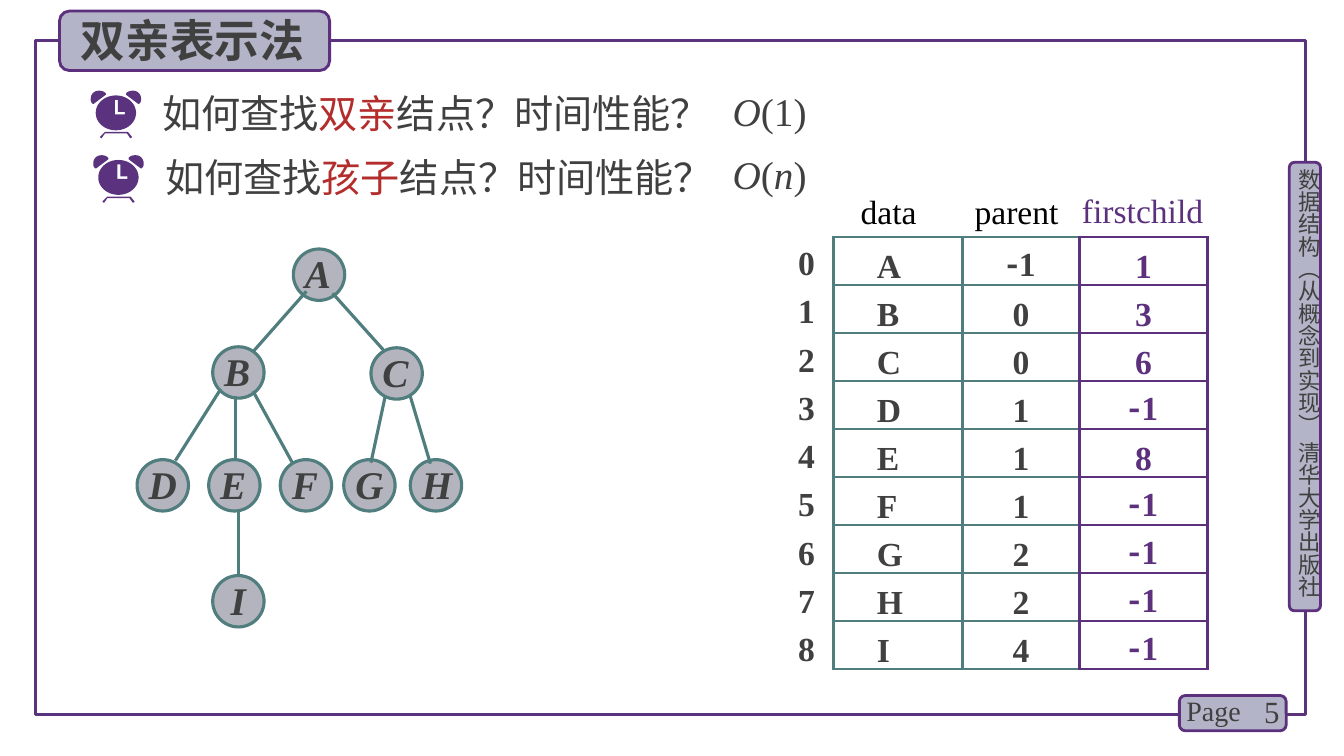
from dataclasses import dataclass
from math import cos, pi, sin
from typing import NamedTuple

from lxml import etree
from pptx import Presentation
from pptx.dml.color import RGBColor
from pptx.enum.shapes import MSO_CONNECTOR, MSO_SHAPE
from pptx.enum.text import MSO_ANCHOR, PP_ALIGN
from pptx.oxml.ns import qn
from pptx.util import Emu, Inches, Pt

TOP, MIDDLE, BOTTOM = MSO_ANCHOR.TOP, MSO_ANCHOR.MIDDLE, MSO_ANCHOR.BOTTOM
LEFT, CENTER, RIGHT = PP_ALIGN.LEFT, PP_ALIGN.CENTER, PP_ALIGN.RIGHT
RECTANGLE, ROUNDED, OVAL = MSO_SHAPE.RECTANGLE, MSO_SHAPE.ROUNDED_RECTANGLE, MSO_SHAPE.OVAL
STRAIGHT = MSO_CONNECTOR.STRAIGHT

INK = RGBColor(0x40, 0x40, 0x40)
BLACK = RGBColor(0, 0, 0)
RED = RGBColor(0xB4, 0x2D, 0x2D)
PURPLE = RGBColor(0x5C, 0x30, 0x7D)
FRAME_PURPLE = RGBColor(0x5A, 0x32, 0x7D)
LILAC = RGBColor(0xB4, 0xB4, 0xC8)
NODE_GRAY = RGBColor(0xB4, 0xB4, 0xBE)
TEAL = RGBColor(0x50, 0x7D, 0x7D)
SERIF, CJK = "Times New Roman", "Noto Sans CJK SC"

CELL = Inches(0.1)
COLUMNS, ROWS = 133.33, 75


class Area(NamedTuple):
    col: float
    row: float
    cols: float
    rows: float


class Point(NamedTuple):
    col: float
    row: float


class Edge(NamedTuple):
    start: Point
    end: Point


@dataclass
class Span:
    text: str
    size: float = 24
    font: str = SERIF
    color: RGBColor = INK
    bold: bool = False
    italic: bool = False


@dataclass
class Node:
    letter: str
    col: float
    row: float
    align: PP_ALIGN = LEFT


@dataclass
class Question:
    relation: str
    clock: Point
    text: Point
    answer_row: float
    order: str


def grid(cells: float) -> Emu:
    return Emu(round(cells * CELL))


def place(area: Area) -> list[Emu]:
    return [grid(cells) for cells in area]


def write(paragraph, spans: list[Span], align: PP_ALIGN = LEFT, spacing=None) -> None:
    paragraph.alignment = align
    paragraph.line_spacing = spacing
    for span in spans:
        run = paragraph.add_run()
        run.text = span.text
        font = run.font
        font.size, font.name = Pt(span.size), span.font
        font.bold, font.italic = span.bold, span.italic
        font.color.rgb = span.color
        etree.SubElement(font._element, qn("a:ea"), typeface=span.font)


def set_insets(frame, left: float, top: float, right: float, bottom: float) -> None:
    frame.margin_left, frame.margin_top = grid(left), grid(top)
    frame.margin_right, frame.margin_bottom = grid(right), grid(bottom)


def add_label(slide, area: Area, spans: list[Span], align: PP_ALIGN = LEFT, anchor=MIDDLE):
    frame = slide.shapes.add_textbox(*place(area)).text_frame
    frame.word_wrap = True
    frame.vertical_anchor = anchor
    write(frame.paragraphs[0], spans, align)
    return frame


def add_panel(slide, preset: MSO_SHAPE, area: Area, line: RGBColor, width: float, fill=None):
    panel = slide.shapes.add_shape(preset, *place(area))
    panel.shadow.inherit = False
    panel.line.color.rgb, panel.line.width = line, Pt(width)
    if fill is None:
        panel.fill.background()
    else:
        panel.fill.solid()
        panel.fill.fore_color.rgb = fill
    return panel


def add_node(slide, node: Node) -> None:
    circle = add_panel(slide, OVAL, Area(node.col, node.row, 5.1, 5.1), TEAL, 2.25, NODE_GRAY)
    frame = circle.text_frame
    set_insets(frame, 0.4, 0.2, 0.4, 0.4)
    frame.vertical_anchor = TOP
    write(frame.paragraphs[0], [Span(node.letter, 28, bold=True, italic=True)], node.align, 0.8)


def add_edge(slide, edge: Edge) -> None:
    branch = slide.shapes.add_connector(STRAIGHT, *place(Area(*edge.start, *edge.end)))
    branch.line.color.rgb, branch.line.width = TEAL, Pt(2.25)
    etree.SubElement(branch._element.spPr, qn("a:effectLst"))


def bezier(a: Point, b: Point, c: Point, d: Point) -> list[Point]:
    steps = [i / 8 for i in range(9)]
    return [Point(*((1 - t) ** 3 * p + 3 * t * (1 - t) ** 2 * q + 3 * t * t * (1 - t) * r + t ** 3 * s
                    for p, q, r, s in zip(a, b, c, d))) for t in steps]


def add_outline(slide, origin: Point, contours: list[list[Point]]) -> None:
    placed = [[(grid(origin.col + x), grid(origin.row + y)) for x, y in contour] for contour in contours]
    builder = slide.shapes.build_freeform(*placed[0][0], scale=1.0)
    builder.add_line_segments(placed[0][1:], close=True)
    for contour in placed[1:]:
        builder.move_to(*contour[0])
        builder.add_line_segments(contour[1:], close=True)
    outline = builder.convert_to_shape()
    outline.shadow.inherit = False
    outline.fill.solid()
    outline.fill.fore_color.rgb = FRAME_PURPLE
    outline.line.fill.background()


def add_clock(slide, origin: Point) -> None:
    legs = [(4.1, 4.6), (3.7, 4.1), (1.4, 4.1), (0.9, 4.6), (1, 4.7),
            (1.1, 4.7), (1.4, 4.25), (3.6, 4.25), (3.9, 4.7), (4, 4.7)]
    bell = (bezier((0.8, 0), (0.3, 0), (0, 0.4), (0, 0.8))
            + bezier((0, 0.8), (0, 0.9), (0, 1.1), (0.1, 1.2))
            + [(0.2, 1.3), (0.3, 1.3), (1.5, 0.4)]
            + bezier((1.5, 0.3), (1.4, 0.1), (1.1, 0), (0.8, 0)))
    face = [(2.5 + 2 * cos(i * pi / 30), 2.2 + 1.73 * sin(i * pi / 30)) for i in range(60)]
    hands = [(2.4, 0.9), (2.7, 0.9), (2.7, 2.1), (3.4, 2.1), (3.4, 2.35), (2.4, 2.35)]
    for contours in ([legs], [bell], [[(5 - x, y) for x, y in bell]], [face, hands]):
        add_outline(slide, origin, contours)


def add_question(slide, question: Question) -> None:
    ask = [Span(text, 28, CJK, color) for text, color in
           (("如何查找", INK), (question.relation, RED), ("结点？时间性能？", INK))]
    add_label(slide, Area(*question.text, 59.4, 5.7), ask)
    answer = [Span(letter, 28, italic=letter.isalpha()) for letter in f"O({question.order})"]
    add_label(slide, Area(71.7, question.answer_row, 11.2, 5.7), answer)
    add_clock(slide, question.clock)


def set_borders(cell, colors: dict[str, RGBColor]) -> None:
    properties = cell._tc.get_or_add_tcPr()
    for position, (side, color) in enumerate(colors.items()):
        border = etree.Element(qn(f"a:ln{side}"), w=str(Pt(2)))
        fill = etree.SubElement(border, qn("a:solidFill"))
        etree.SubElement(fill, qn("a:srgbClr"), val=str(color))
        properties.insert(position, border)


def add_storage_table(slide, records: list[tuple[str, str, str]]) -> None:
    area, widths = Area(82.7, 23.5, 37.1, 42.9), (12.8, 11.6, 12.7)
    table = slide.shapes.add_table(len(records), len(widths), *place(area)).table
    table.first_row = table.horz_banding = False
    for column, width in zip(table.columns, widths):
        column.width = grid(width)
    for row, record in zip(table.rows, records):
        row.height = grid(area.rows / len(records))
        for field, (cell, value) in enumerate(zip(row.cells, record)):
            own = PURPLE if field == 2 else TEAL
            cell.fill.background()
            set_borders(cell, {"L": own, "R": PURPLE if field else TEAL, "T": own, "B": own})
            set_insets(cell, 0 if field else 4.3, 0, 0, 0)
            cell.vertical_anchor = BOTTOM
            color = PURPLE if field == 2 else INK
            spans = [Span(sign, font=CJK if sign == "-" else SERIF, color=color, bold=True) for sign in value]
            write(cell.text_frame.paragraphs[0], spans, CENTER if field else LEFT, 0.9)


def add_indices(slide, count: int) -> None:
    frame = slide.shapes.add_textbox(*place(Area(78.3, 23.2, 3.4, 43.2))).text_frame
    frame.word_wrap = True
    set_insets(frame, 0, 0, 0, 0)
    frame.text = "\n".join(str(index) for index in range(count))
    for paragraph in frame.paragraphs:
        paragraph.alignment, paragraph.line_spacing = CENTER, Pt(34.5)
        font = paragraph.runs[0].font
        font.size, font.name, font.bold, font.color.rgb = Pt(24), SERIF, True, INK


def add_frame(slide) -> None:
    add_panel(slide, RECTANGLE, Area(3.5, 4, 126, 66.9), FRAME_PURPLE, 2.25)
    for tab in (Area(127.9, 16.1, 3.1, 44.5), Area(117, 69, 10.6, 3.5), Area(5.9, 1.1, 26.8, 5.9)):
        add_panel(slide, ROUNDED, tab, PURPLE, 2, LILAC)
    book = [Span("数据结构（从概念到实现） 清华大学出版社", 16, CJK)]
    spine = add_label(slide, Area(128.5, 16.7, 2.7, 44.9), book, anchor=TOP)
    set_insets(spine, 0, 0, 0, 0)
    spine._txBody.bodyPr.set("vert", "eaVert")
    add_label(slide, Area(122, 68.6, 5.9, 4), [Span("5", 22)], RIGHT)
    add_label(slide, Area(116.7, 68.3, 7.8, 4.4), [Span("Page", 20)])
    add_label(slide, Area(7, 0.7, 25, 6.4), [Span("双亲表示法", 32, CJK, bold=True)])


NODES = [Node("A", 29.1, 24.7), Node("B", 21.1, 34.4), Node("C", 36.8, 34.5),
         Node("D", 13.6, 45.6), Node("E", 20.7, 45.6), Node("F", 27.8, 45.6),
         Node("G", 34.1, 45.6), Node("H", 40.7, 45.6), Node("I", 21.1, 57.1, CENTER)]
EDGES = [Edge(Point(30.4, 28.9), Point(25.1, 34.9)), Edge(Point(33, 29.1), Point(38.2, 34.9)),
         Edge(Point(21.9, 38.6), Point(17.4, 45.7)), Edge(Point(23.4, 39.3), Point(23.4, 45.7)),
         Edge(Point(25.1, 38.8), Point(29, 45.9)), Edge(Point(38.2, 39.4), Point(36.8, 45.9)),
         Edge(Point(40.7, 39.3), Point(42.7, 46)), Edge(Point(23.7, 50.8), Point(23.7, 57.2))]
QUESTIONS = [Question("双亲", Point(9, 9), Point(15.1, 8.3), 8.1, "1"),
             Question("孩子", Point(9.25, 15.4), Point(15.4, 14.7), 14.4, "n")]
RECORDS = [("A", "-1", "1"), ("B", "0", "3"), ("C", "0", "6"), ("D", "1", "-1"), ("E", "1", "8"),
           ("F", "1", "-1"), ("G", "2", "-1"), ("H", "2", "-1"), ("I", "4", "-1")]


def main() -> None:
    presentation = Presentation()
    presentation.slide_width, presentation.slide_height = grid(COLUMNS), grid(ROWS)
    slide = presentation.slides.add_slide(presentation.slide_layouts[6])
    add_frame(slide)
    for node in NODES:
        add_node(slide, node)
    for edge in EDGES:
        add_edge(slide, edge)
    for question in QUESTIONS:
        add_question(slide, question)
    add_indices(slide, len(RECORDS))
    add_storage_table(slide, RECORDS)
    add_label(slide, Area(84.4, 18.4, 11, 5), [Span("data", color=BLACK)])
    add_label(slide, Area(95.7, 18.4, 11, 5), [Span("parent", color=BLACK)])
    add_label(slide, Area(105.9, 18.3, 14.9, 5), [Span("firstchild", color=PURPLE)], CENTER)
    presentation.save("out.pptx")


if __name__ == "__main__":
    main()
